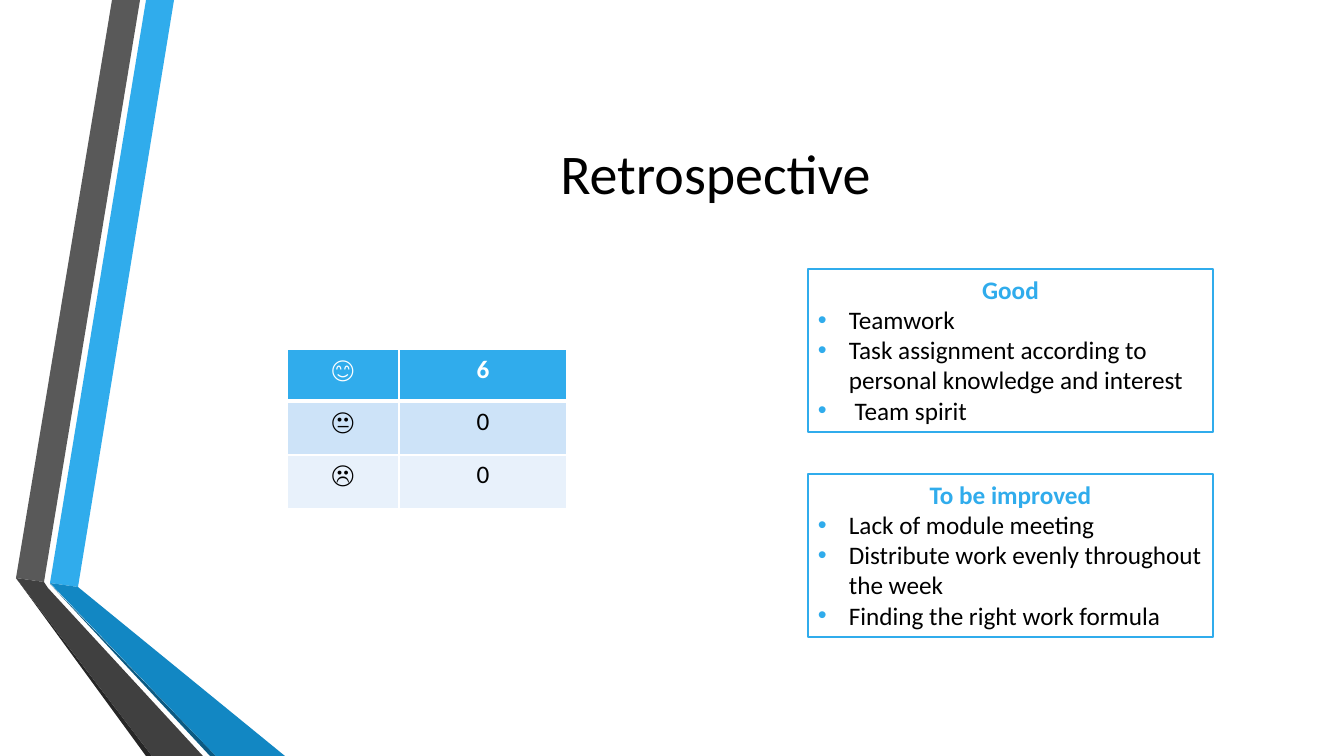
from lxml import etree
from pptx import Presentation
from pptx.dml.color import RGBColor
from pptx.enum.shapes import MSO_SHAPE
from pptx.enum.text import MSO_ANCHOR, PP_ALIGN
from pptx.oxml.ns import qn
from pptx.util import Emu, Pt

MID = MSO_ANCHOR.MIDDLE
MIDDLE = PP_ALIGN.CENTER
LEFT = PP_ALIGN.LEFT
RECT = MSO_SHAPE.RECTANGLE

THEME = {
    "font": "Calibri", "title": 40, "body": 18, "line": 1.25,
    "black": "000000", "white": "FFFFFF", "blue": "30ACEC",
    "rows": ["30ACEC", "CDE3F8", "E8F1FB"],
}

TITLE = "Retrospective"
VOTES = [("😊", "6"), ("😐", "0"), ("☹️", "0")]
LISTS = [
    ("Good", ["Teamwork",
              "Task assignment according to personal knowledge and interest",
              " Team spirit"]),
    ("To be improved", ["Lack of module meeting",
                        "Distribute work evenly throughout the week",
                        "Finding the right work formula"]),
]
BANDS = [
    ("30ACEC", [(50, 583), (78, 587), (174, 0), (146, 0)]),
    ("595959", [(140, 0), (112, 0), (16, 578), (44, 582)]),
    ("262626", [(16, 578), (146, 756), (152, 756)]),
    ("0C5A82", [(50, 584), (210, 756), (216, 756)]),
    ("1287C3", [(50, 583), (216, 756), (285, 756), (78, 587)]),
    ("404040", [(203, 756), (48, 588), (44, 582), (16, 578), (152, 756)]),
]

SCALE = 914400 / 100.8
WIDE, HIGH = 1344, 756
COLS, ROWS = [112, 168], [52, 54, 54]
GRID = (287, 349, sum(COLS), sum(ROWS))
CARD = (808, 269, 405, 163)
STEP = 205
DENT = 31


def px(num):
    return Emu(round(num * SCALE))


def rgb(code):
    return RGBColor.from_string(code)


def paint(shape, fill, line=None):
    shape.shadow.inherit = False
    shape.fill.solid()
    shape.fill.fore_color.rgb = rgb(fill)
    if line:
        shape.line.color.rgb = rgb(line)
        shape.line.width = Pt(THEME["line"])
    else:
        shape.line.fill.background()


def write(para, text, color, size=THEME["body"], bold=False, align=MIDDLE):
    para.alignment = align
    run = para.add_run()
    run.text = text
    style = {"name": THEME["font"], "size": Pt(size), "bold": bold}
    for key, val in style.items():
        setattr(run.font, key, val)
    run.font.color.rgb = rgb(color)


def bullet(para):
    props = para._p.get_or_add_pPr()
    props.set("marL", str(px(DENT)))
    props.set("indent", str(-px(DENT)))
    tint = etree.SubElement(props, qn("a:buClr"))
    etree.SubElement(tint, qn("a:srgbClr"), val=THEME["blue"])
    etree.SubElement(props, qn("a:buFont"), typeface="Arial")
    etree.SubElement(props, qn("a:buChar"), char="•")


def border(cell, sides):
    props = cell._tc.get_or_add_tcPr()
    for side, width in sides.items():
        line = etree.SubElement(props, qn("a:ln" + side), w=str(Pt(width)))
        fill = etree.SubElement(line, qn("a:solidFill"))
        etree.SubElement(fill, qn("a:srgbClr"), val=THEME["white"])


deck = Presentation()
deck.slide_width, deck.slide_height = px(WIDE), px(HIGH)
slide = deck.slides.add_slide(deck.slide_layouts[6])
shapes = slide.shapes

for color, dots in BANDS:
    pen = shapes.build_freeform(*dots[0], scale=SCALE)
    pen.add_line_segments(dots[1:], close=True)
    paint(pen.convert_to_shape(), color)

head = shapes.add_textbox(*map(px, (163, 76, 1105, 193))).text_frame
head.word_wrap = True
head.vertical_anchor = MID
write(head.paragraphs[0], TITLE, THEME["black"], THEME["title"])

table = shapes.add_table(len(ROWS), len(COLS), *map(px, GRID)).table
for col, width in zip(table.columns, COLS):
    col.width = px(width)
for row, height in zip(table.rows, ROWS):
    row.height = px(height)
for r, vote in enumerate(VOTES):
    top = r == 0
    for c, text in enumerate(vote):
        cell = table.cell(r, c)
        border(cell, {"L": 1, "R": 1, "T": 3 if r == 1 else 1,
                      "B": 3 if top else 1})
        cell.fill.solid()
        cell.fill.fore_color.rgb = rgb(THEME["rows"][r])
        write(cell.text_frame.paragraphs[0], text,
              THEME["white" if top else "black"], bold=top)

left, top, width, height = CARD
for i, (name, items) in enumerate(LISTS):
    card = shapes.add_shape(
        RECT, *map(px, (left, top + i * STEP, width, height)))
    paint(card, THEME["white"], THEME["blue"])
    frame = card.text_frame
    frame.word_wrap = True
    frame.vertical_anchor = MSO_ANCHOR.TOP
    write(frame.paragraphs[0], name, THEME["blue"], bold=True)
    for item in items:
        para = frame.add_paragraph()
        write(para, item, THEME["black"], align=LEFT)
        bullet(para)

deck.save("out.pptx")
